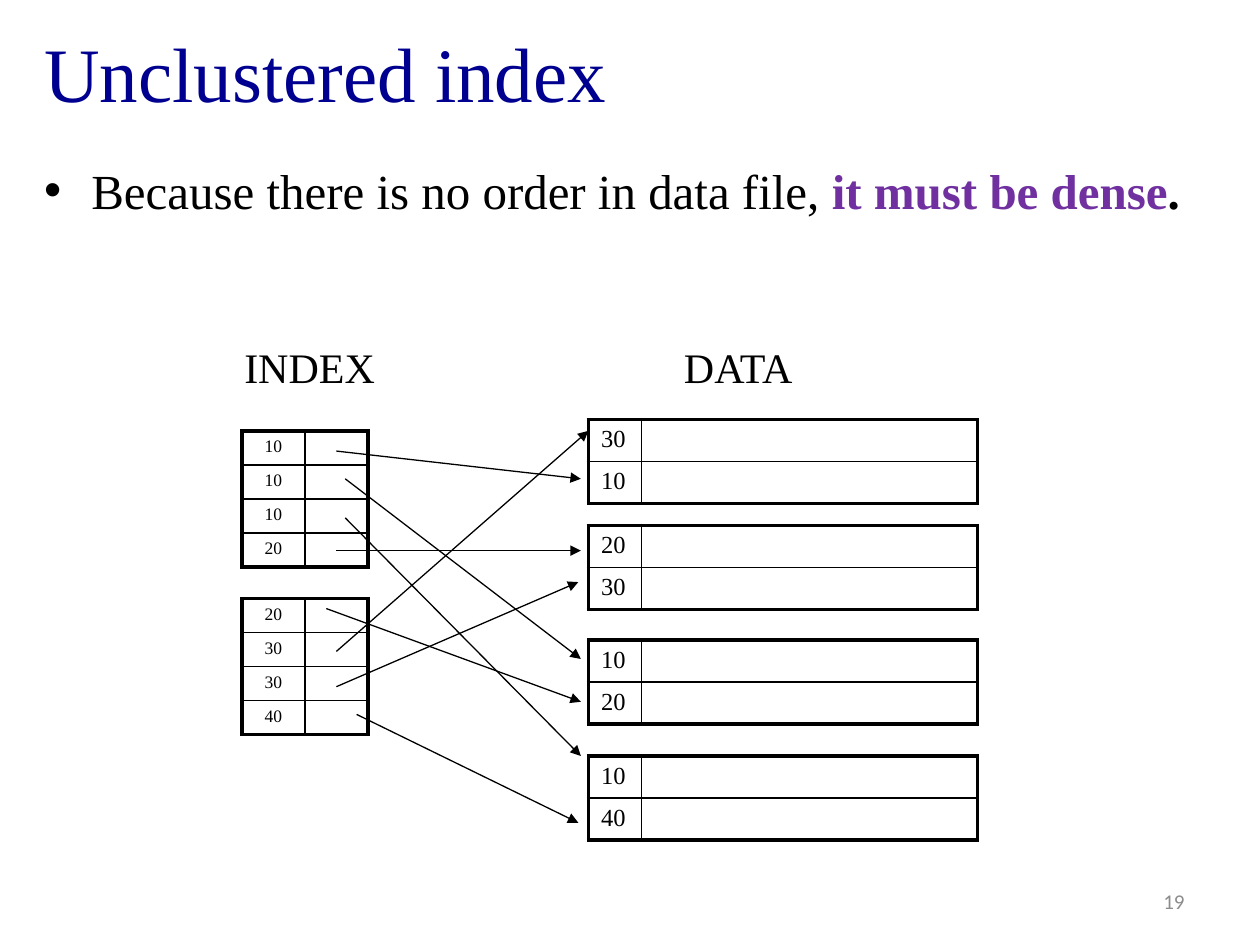
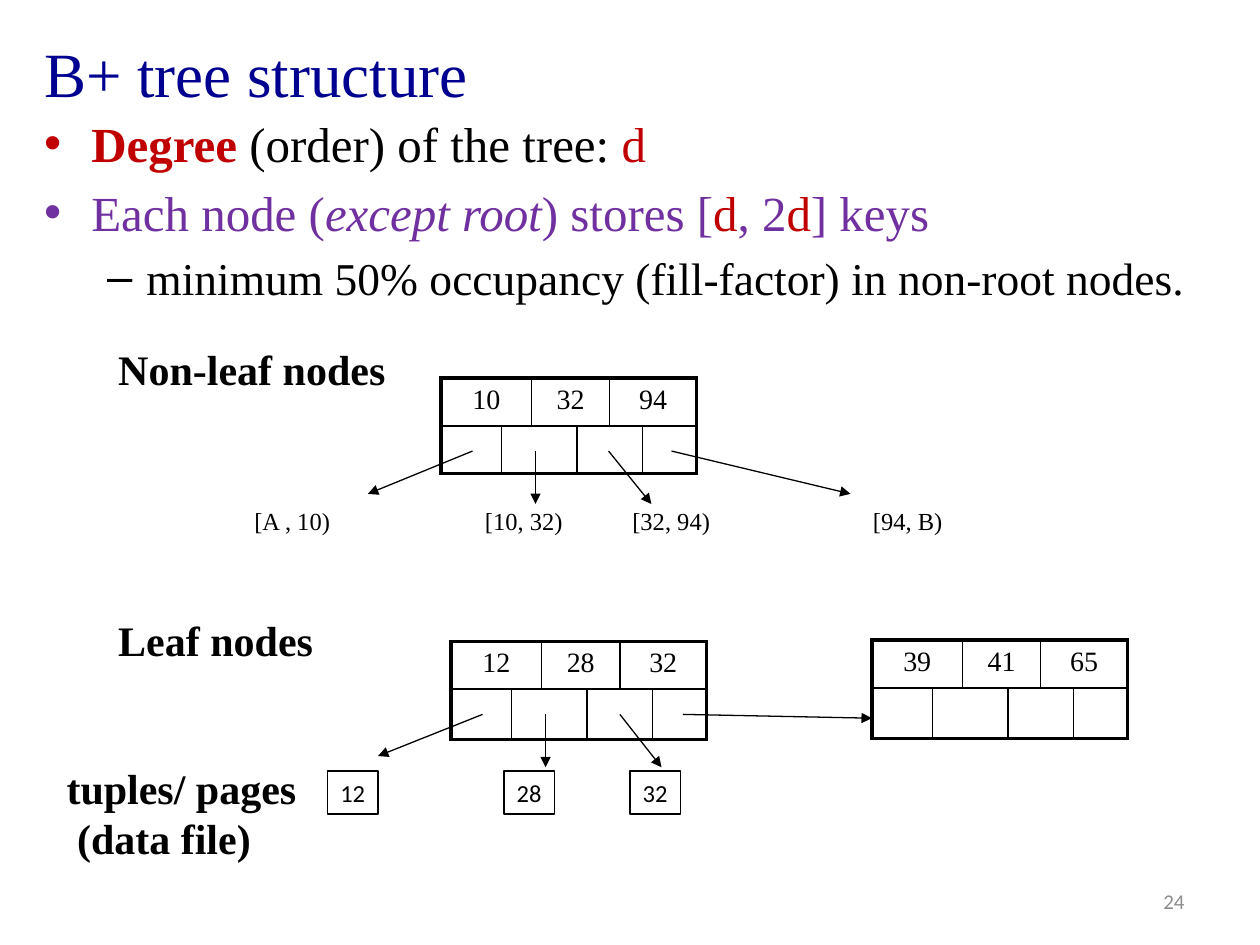
from lxml.etree import SubElement, fromstring
from pptx import Presentation
from pptx.dml.color import RGBColor
from pptx.enum.shapes import MSO_CONNECTOR, MSO_SHAPE
from pptx.enum.text import MSO_ANCHOR, MSO_AUTO_SIZE, PP_ALIGN
from pptx.oxml.ns import nsdecls, qn
from pptx.util import Inches, Pt

BLACK, NAVY, PURPLE, RED, GRAY = "000000", "000090", "7030A0", "C00000", "8C8C8C"
SERIF, SANS = "Times New Roman", "Calibri"
NO_STYLE = "{2D5ABB26-0587-4C30-8999-92F81FD0307C}"
OUTER, INNER = 2.25, 1


def write(para, text, size=28, color=BLACK, font=SERIF, bold=False, italic=False, align=None):
    span = para.add_run()
    span.text = text
    span.font.name = font
    span.font.size = Pt(size)
    span.font.bold = bold
    span.font.italic = italic
    span.font.color.rgb = RGBColor.from_string(color)
    if align is not None:
        para.alignment = align


def add_grid(page, left, top, columns, rows, texts, size, align=None, merges=()):
    """Add a table with a thick frame; merges lists cells joined to their right neighbour."""
    frame = page.shapes.add_table(len(rows), len(columns), Inches(left), Inches(top),
                                  Inches(sum(columns)), Inches(sum(rows)))
    table = frame.table
    table.first_row = table.horz_banding = False
    table._tbl.tblPr.find(qn("a:tableStyleId")).text = NO_STYLE
    for column, width in zip(table.columns, columns):
        column.width = Inches(width)
    for row, height in zip(table.rows, rows):
        row.height = Inches(height)
    for r, c in merges:
        table.cell(r, c).merge(table.cell(r, c + 1))

    for r in range(len(rows)):
        for c in range(len(columns)):
            cell = table.cell(r, c)
            para = cell.text_frame.paragraphs[0]
            if (r, c) in texts:
                write(para, texts[r, c], size=size, align=align)
            else:
                SubElement(para._p, qn("a:endParaRPr")).set("sz", str(size * 100))
            cell.fill.background()
            last_column = c + (cell.span_width if cell.is_merge_origin else 1) == len(columns)
            edges = [("R", last_column), ("T", r == 0), ("B", r == len(rows) - 1)]
            if not cell.is_spanned:
                edges.insert(0, ("L", c == 0))
            properties = cell._tc.get_or_add_tcPr()
            for position, (side, is_outer) in enumerate(edges):
                width = Pt(OUTER if is_outer else INNER)
                properties.insert(position, fromstring(
                    f'<a:ln{side} {nsdecls("a")} w="{width}"><a:solidFill>'
                    f'<a:srgbClr val="{BLACK}"/></a:solidFill></a:ln{side}>'))


deck = Presentation()
deck.slide_width, deck.slide_height = Inches(10), Inches(7.5)

# Titles, lists and page numbers: each list item is (level, spans)
outlines = [
    ("Unclustered index", 44, 1.22, "19", [
        (0, [("Because there is no order in data file, ", {}),
             ("it must be dense", {"color": PURPLE, "bold": True}),
             (".", {"bold": True})]),
    ]),
    ("B+ tree structure", 36, 0.85, "24", [
        (0, [("Degree", {"color": RED, "bold": True}),
             (" (order) of the tree: ", {}),
             ("d", {"color": RED})]),
        (0, [("Each node (", {"color": PURPLE}),
             ("except root", {"color": PURPLE, "italic": True}),
             (") stores [", {"color": PURPLE}),
             ("d", {"color": RED}),
             (", 2", {"color": PURPLE}),
             ("d", {"color": RED}),
             ("] keys", {"color": PURPLE})]),
        (1, [("minimum 50% occupancy (fill-factor) in non-root nodes.", {"size": 26})]),
    ]),
]
for title, title_size, body_top, number, items in outlines:
    page = deck.slides.add_slide(deck.slide_layouts[1])
    heading, body = page.placeholders
    heading.left, heading.top = Inches(0.25), Inches(0.05)
    heading.width, heading.height = Inches(9.55), Inches(1.04)
    heading.text_frame.auto_size = MSO_AUTO_SIZE.NONE
    heading.text_frame.vertical_anchor = MSO_ANCHOR.MIDDLE
    write(heading.text_frame.paragraphs[0], title, size=title_size, color=NAVY,
          align=PP_ALIGN.LEFT)

    body.left, body.top = Inches(0.25), Inches(body_top)
    body.width, body.height = Inches(9.55), Inches(7.35 - body_top)
    body.text_frame.auto_size = MSO_AUTO_SIZE.NONE
    for index, (level, spans) in enumerate(items):
        para = body.text_frame.add_paragraph() if index else body.text_frame.paragraphs[0]
        para.level = level
        for text, look in spans:
            write(para, text, **look)

    box = page.shapes.add_textbox(Inches(7.17), Inches(6.95), Inches(2.33), Inches(0.4))
    box.text_frame.word_wrap = True
    box.text_frame.vertical_anchor = MSO_ANCHOR.MIDDLE
    write(box.text_frame.paragraphs[0], number, size=12, color=GRAY, font=SANS,
          align=PP_ALIGN.RIGHT)

unclustered, tree = deck.slides

# Index blocks and data blocks
for top, keys in [(3.42, ["10", "10", "10", "20"]), (4.75, ["20", "30", "30", "40"])]:
    add_grid(unclustered, 1.92, top, [0.5, 0.5], [0.27] * 4,
             {(r, 0): key for r, key in enumerate(keys)}, 10, PP_ALIGN.CENTER)
for top, keys in [(3.33, ["30", "10"]), (4.17, ["20", "30"]),
                  (5.08, ["10", "20"]), (6, ["10", "40"])]:
    add_grid(unclustered, 4.67, top, [0.42, 2.67], [0.33] * 2,
             {(r, 0): key for r, key in enumerate(keys)}, 14)

# Tree nodes: three keys above four pointers
for left, top, pointer_height, keys in [(3.5, 3, 0.38, ["10", "32", "94"]),
                                        (3.58, 5.09, 0.4, ["12", "28", "32"]),
                                        (6.92, 5.08, 0.4, ["39", "41", "65"])]:
    add_grid(tree, left, top, [0.48, 0.21, 0.36, 0.26, 0.26, 0.43], [0.38, pointer_height],
             {(0, 2 * k): key for k, key in enumerate(keys)}, 16, PP_ALIGN.CENTER,
             merges=[(0, 0), (0, 2), (0, 4), (1, 1), (1, 3)])

# Tuples in the data file
for left, key in [(2.6, "12"), (4, "28"), (5, "32")]:
    box = tree.shapes.add_shape(MSO_SHAPE.RECTANGLE, Inches(left), Inches(6.12),
                                Inches(0.4), Inches(0.34))
    box.shadow.inherit = False
    box.fill.background()
    box.line.color.rgb = RGBColor.from_string(BLACK)
    box.line.width = Pt(0.75)
    box.text_frame.word_wrap = False
    box.text_frame.vertical_anchor = MSO_ANCHOR.MIDDLE
    write(box.text_frame.paragraphs[0], key, size=14, font=SANS, align=PP_ALIGN.CENTER)

# Labels: page, lines, left, top, width, height, size, bold
labels = [
    (unclustered, ["INDEX"], 1.84, 2.66, 1.25, 0.5, 24, False),
    (unclustered, ["DATA"], 5.33, 2.66, 1.07, 0.5, 24, False),
    (tree, ["[A , 10)"], 1.92, 3.97, 0.81, 0.34, 14, False),
    (tree, ["[10, 32)"], 3.75, 3.97, 0.82, 0.34, 14, False),
    (tree, ["[32, 94)"], 4.92, 3.97, 0.82, 0.34, 14, False),
    (tree, ["[94, B)"], 6.83, 3.97, 0.76, 0.34, 14, False),
    (tree, ["Non-leaf nodes"], 0.84, 2.68, 2.66, 0.5, 24, True),
    (tree, ["Leaf nodes"], 0.84, 4.83, 2.66, 0.5, 24, True),
    (tree, ["tuples/ pages", " (data file)"], 0.43, 6, 2.75, 0.91, 24, True),
]
for page, lines, left, top, width, height, size, bold in labels:
    box = page.shapes.add_textbox(Inches(left), Inches(top), Inches(width), Inches(height))
    box.text_frame.word_wrap = bold
    box.text_frame.auto_size = MSO_AUTO_SIZE.SHAPE_TO_FIT_TEXT
    for index, line in enumerate(lines):
        para = box.text_frame.add_paragraph() if index else box.text_frame.paragraphs[0]
        write(para, line, size=size, bold=bold)

# Pointers: start x, start y, end x, end y
pointers = [
    (unclustered, [
        (2.67, 3.58, 4.61, 3.8), (2.74, 3.8, 4.61, 5.23), (2.74, 4.11, 4.61, 6),
        (2.67, 4.37, 4.61, 4.37), (2.59, 4.83, 4.61, 5.57), (2.67, 5.17, 4.67, 3.42),
        (2.67, 5.45, 4.59, 4.62), (2.83, 5.67, 4.59, 6.53)]),
    (tree, [
        (3.75, 3.58, 2.92, 3.92), (4.25, 3.58, 4.25, 4), (4.83, 3.58, 5.17, 4),
        (5.33, 3.58, 6.75, 3.92), (3.83, 5.67, 3, 6), (4.33, 5.67, 4.33, 6.09),
        (4.92, 5.67, 5.25, 6.09), (5.42, 5.67, 6.92, 5.7)]),
]
for page, arrows in pointers:
    for ends in arrows:
        arrow = page.shapes.add_connector(MSO_CONNECTOR.STRAIGHT, *map(Inches, ends))
        arrow.line.color.rgb = RGBColor.from_string(BLACK)
        arrow.line.width = Pt(0.75)
        SubElement(arrow.line._get_or_add_ln(), qn("a:tailEnd")).set("type", "triangle")
        SubElement(arrow._element.spPr, qn("a:effectLst"))

deck.save("out.pptx")
